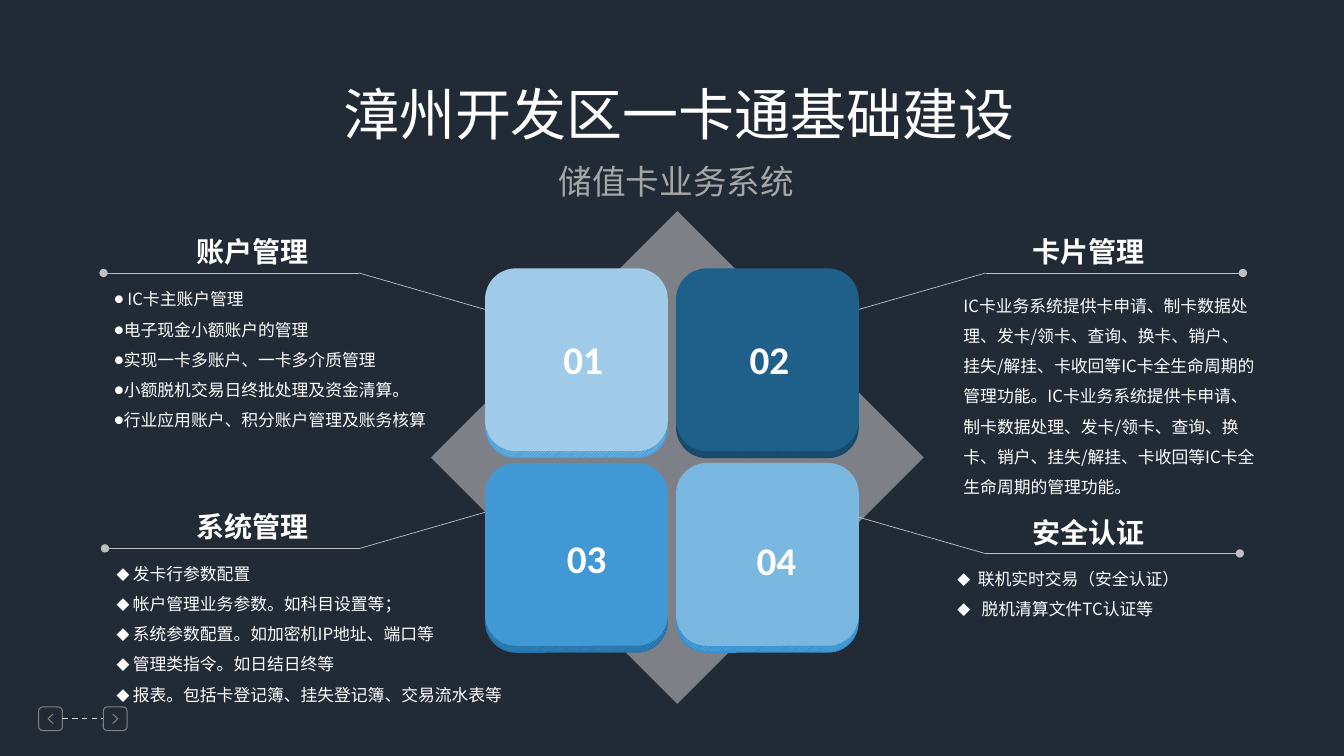
"""Build the stored-value card system slide: four cards with leader lines and notes."""
from dataclasses import dataclass

from lxml.etree import SubElement as Sub
from pptx import Presentation
from pptx.dml.color import RGBColor as RGB
from pptx.enum.dml import MSO_LINE_DASH_STYLE as DASH
from pptx.enum.dml import MSO_PATTERN_TYPE as PATTERN
from pptx.enum.shapes import MSO_CONNECTOR_TYPE as LINK
from pptx.enum.shapes import MSO_SHAPE as SHAPE
from pptx.enum.text import MSO_AUTO_SIZE as FIT
from pptx.enum.text import PP_ALIGN as ALIGN
from pptx.oxml.ns import qn
from pptx.util import Pt


@dataclass(frozen=True)
class Theme:
    back: str = "222A35"
    white: str = "FFFFFF"
    muted: str = "A6A6A6"
    lead: str = "BFBFBF"
    pale: str = "D9D9D9"
    nav: str = "808080"
    cjk: str = "Noto Sans CJK SC"
    latin: str = "Calibri"
    title: int = 40
    sub: int = 24
    num: int = 28
    head: int = 20
    body: int = 12


THEME = Theme()
SIDE = 129.6
DEPTH = 5
CARDS = [
    ("01", "9FCBE9", "4FA0D7", (395, 236)),
    ("02", "1F608B", "174868", (528, 236)),
    ("03", "4098D4", "2674A9", (397.5, 378)),
    ("04", "7BB8E1", "3492D1", (533, 379.5)),
]
LEADS = [
    ((363.6, 226), (256.5, 195), (74, 195)),
    ((363.6, 361), (257, 391.7), (75, 391.7)),
    ((596.2, 226), (704, 195), (887.8, 195)),
    ((596.2, 364.5), (703.5, 395.3), (885.6, 395.3)),
]
HEADS = [
    ("账户管理", 133.2, 164.2, ALIGN.LEFT),
    ("系统管理", 133.2, 360.7, ALIGN.LEFT),
    ("卡片管理", 700.6, 164.2, ALIGN.RIGHT),
    ("安全认证", 700.6, 364.3, ALIGN.RIGHT),
]
LISTS = [
    ((74.2, 195.8, 266.4, 116.6), "●", [
        ("IC卡主账户管理", 9.7),
        ("电子现金小额账户的管理", 7.2),
        ("实现一卡多账户、一卡多介质管理", 7.2),
        ("小额脱机交易日终批处理及资金清算。", 7.2),
        ("行业应用账户、积分账户管理及账务核算", 7.2),
    ]),
    ((76.3, 391.7, 292.3, 116.6), "◆", [
        ("发卡行参数配置", 11.5),
        ("帐户管理业务参数。如科目设置等；", 11.5),
        ("系统参数配置。如加密机IP地址、端口等", 11.5),
        ("管理类指令。如日结日终等", 11.5),
        ("报表。包括卡登记簿、挂失登记簿、交易流水表等", 11.5),
    ]),
    ((676.8, 395.3, 223.9, 51.1), "◆", [
        ("联机实时交易（安全认证）", 14.5),
        ("脱机清算文件TC认证等", 17.3),
    ]),
    ((681.1, 200.2, 222.5, 181.4), None, [
        ("IC卡业务系统提供卡申请、制卡数据处理、发卡/领卡、查询、换卡、销户、"
         "挂失/解挂、卡收回等IC卡全生命周期的管理功能。"
         "IC卡业务系统提供卡申请、制卡数据处理、发卡/领卡、查询、换卡、销户、"
         "挂失/解挂、卡收回等IC卡全生命周期的管理功能。", 0),
    ]),
]


def tint(fill, hue):
    """Make a fill solid in the given hue."""
    fill.solid()
    fill.fore_color.rgb = RGB.from_string(hue)


def style(para, size, hue, bold=False, face=THEME.cjk):
    """Format every run of a paragraph."""
    for run in para.runs:
        font = run.font
        font.size, font.bold, font.name = Pt(size), bold, face
        font.color.rgb = RGB.from_string(hue)
        Sub(font._element, qn("a:ea")).set("typeface", face)


def frame(slide, box, wrap=True):
    """Add a text box and return its text frame."""
    text = slide.shapes.add_textbox(*map(Pt, box)).text_frame
    text.word_wrap = wrap
    text.auto_size = FIT.SHAPE_TO_FIT_TEXT
    return text


def label(slide, words, box, size, hue=THEME.white, align=ALIGN.CENTER,
          wrap=False, **look):
    """Add a one-line text box."""
    text = frame(slide, box, wrap)
    text.text = words
    text.paragraphs[0].alignment = align
    style(text.paragraphs[0], size, hue, **look)


def bullet(para, mark, gap):
    """Give a paragraph a bullet with a hanging indent."""
    props = para._p.get_or_add_pPr()
    props.set("marL", str(Pt(gap)))
    props.set("indent", str(-Pt(gap)))
    Sub(props, qn("a:buFont")).set("typeface", THEME.latin)
    Sub(props, qn("a:buChar")).set("char", mark)


def notes(slide, box, mark, items):
    """Add a body text box, bulleted when a mark is given."""
    text = frame(slide, box)
    text.text = "\n".join(words for words, gap in items)
    for para, (words, gap) in zip(text.paragraphs, items):
        para.line_spacing = 1.5
        if mark:
            bullet(para, mark, gap)
        style(para, THEME.body, THEME.white)


def line(slide, start, end, hue, width, dot=False):
    """Add a straight line, ending in a dot if asked."""
    link = slide.shapes.add_connector(LINK.STRAIGHT, *map(Pt, start + end))
    link.line.color.rgb = RGB.from_string(hue)
    link.line.width = Pt(width)
    if dot:
        Sub(link.line._get_or_add_ln(), qn("a:tailEnd")).set("type", "oval")
    Sub(link._element.spPr, qn("a:effectLst"))
    return link


def block(slide, kind, box):
    """Add a preset shape without shadow."""
    shape = slide.shapes.add_shape(kind, *map(Pt, box))
    shape.shadow.inherit = False
    return shape


def card(slide, left, top, face, edge):
    """Add a rounded card on its hatched edge."""
    for drop, hue in ((DEPTH, edge), (0, face)):
        shape = block(slide, SHAPE.ROUNDED_RECTANGLE, (left, top + drop, SIDE, SIDE))
        if drop:
            shape.fill.patterned()
            shape.fill.pattern = PATTERN.DARK_UPWARD_DIAGONAL
            shape.fill.fore_color.rgb = RGB.from_string(face)
            shape.fill.back_color.rgb = RGB.from_string(edge)
        else:
            tint(shape.fill, hue)
        shape.line.color.rgb = RGB.from_string(hue)
        shape.line.width = Pt(1)


def button(slide, left, turn):
    """Add an outlined button with a chevron pointing along turn."""
    key = block(slide, SHAPE.ROUNDED_RECTANGLE, (left, 505, 17, 16.8))
    mid, reach = left + 8.5, 1.8 * turn
    path = slide.shapes.build_freeform(Pt(mid - reach), Pt(510))
    path.add_line_segments([(Pt(mid + reach), Pt(513.4)),
                            (Pt(mid - reach), Pt(516.8))], close=False)
    tip = path.convert_to_shape()
    tip.shadow.inherit = False
    for shape in (key, tip):
        shape.fill.background()
        shape.line.color.rgb = RGB.from_string(THEME.nav)
        shape.line.width = Pt(0.75)
    return key


def diamond(slide):
    """Add the half-clear diamond behind the cards."""
    shape = block(slide, SHAPE.RECTANGLE, (359.3, 202.3, 249, 249))
    shape.rotation = 45
    tint(shape.fill, THEME.pale)
    shape.line.fill.background()
    hue = shape._element.spPr.find(".//" + qn("a:srgbClr"))
    Sub(hue, qn("a:alpha")).set("val", "50000")


def main():
    """Build and save the slide."""
    deck = Presentation()
    deck.slide_width, deck.slide_height = Pt(960), Pt(540)
    slide = deck.slides.add_slide(deck.slide_layouts[6])
    tint(slide.background.fill, THEME.back)
    back, ahead = button(slide, 27.6, -1), button(slide, 73.8, 1)
    dash = line(slide, (44.6, 513.4), (73.8, 513.4), THEME.pale, 1)
    dash.line.dash_style = DASH.DASH
    dash.begin_connect(back, 3)
    dash.end_connect(ahead, 1)
    for edge, knee, end in LEADS:
        line(slide, edge, knee, THEME.lead, 0.5)
        line(slide, knee, end, THEME.lead, 0.5, dot=True)
    diamond(slide)
    for i, (num, face, rim, spot) in enumerate(CARDS):
        card(slide, 347 + i % 2 * 136.4, 192.2 + i // 2 * 139, face, rim)
    for words, left, top, align in HEADS:
        label(slide, words, (left, top, 123.8, 31.5), THEME.head,
              align=align, wrap=True, bold=True)
    for box, mark, items in LISTS:
        notes(slide, box, mark, items)
    label(slide, "漳州开发区一卡通基础建设", (235.4, 53.3, 499, 55.4), THEME.title)
    label(slide, "储值卡业务系统", (391, 111.6, 184.3, 36), THEME.sub, THEME.muted)
    for num, face, rim, spot in CARDS:
        label(slide, num, (*spot, 43.2, 41), THEME.num, bold=True, face=THEME.latin)
    deck.save("out.pptx")


if __name__ == "__main__":
    main()
